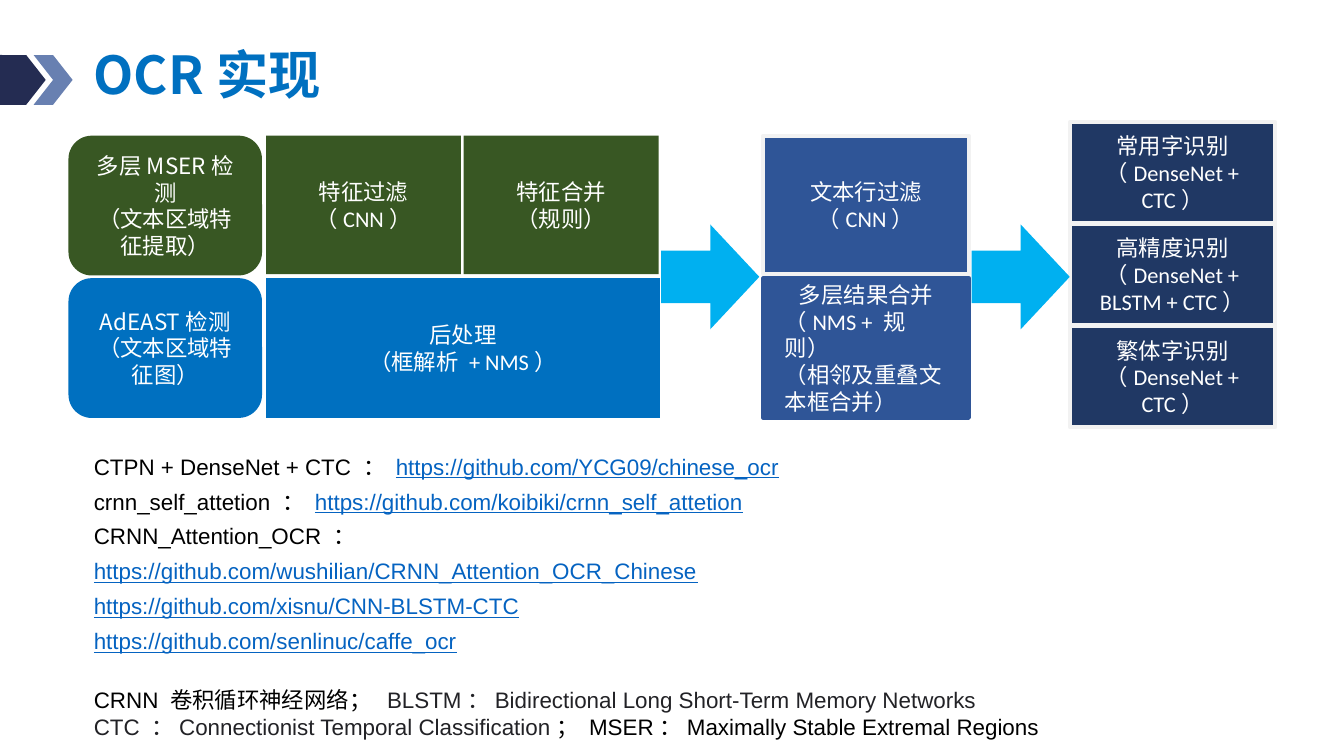
import pptx
import pptx.util
import pptx.dml.color
import pptx.enum.shapes
import pptx.enum.text
import pptx.oxml.ns
from lxml import etree

Inches = pptx.util.Inches
Pt = pptx.util.Pt
RGBColor = pptx.dml.color.RGBColor
SHAPE = pptx.enum.shapes.MSO_SHAPE
ALIGN = pptx.enum.text.PP_ALIGN
ANCHOR = pptx.enum.text.MSO_ANCHOR

NAVY = RGBColor(0x24, 0x2C, 0x52)
SLATE = RGBColor(0x68, 0x80, 0xB1)
BLUE = RGBColor(0x00, 0x70, 0xC0)
GREEN = RGBColor(0x38, 0x57, 0x23)
MID_BLUE = RGBColor(0x2F, 0x55, 0x97)
DARK_BLUE = RGBColor(0x20, 0x38, 0x64)
SKY = RGBColor(0x00, 0xB0, 0xF0)
PALE = RGBColor(0xF2, 0xF2, 0xF2)
WHITE = RGBColor(0xFF, 0xFF, 0xFF)
BLACK = RGBColor(0x00, 0x00, 0x00)
INK = RGBColor(0x22, 0x22, 0x26)
LINK = RGBColor(0x05, 0x63, 0xC1)

CJK = "Noto Sans CJK SC"
CALIBRI = "Calibri"
ARIAL = "Arial"


class SlideBuilder:
    """Holds the slide and the shared text style."""

    def __init__(self, slide, size=12, inset=0.16):
        self.slide = slide
        self.size = size
        self.inset = inset

    def run(self, paragraph, text, font, color, size=None, bold=False, underline=False):
        run = paragraph.add_run()
        run.text = text
        run.font.name = font
        run.font.size = Pt(size or self.size)
        run.font.color.rgb = color
        run.font.bold = bold
        run.font.underline = underline
        # East Asian glyphs share one typeface
        east_asian = etree.SubElement(run.font._element, pptx.oxml.ns.qn("a:ea"))
        east_asian.set("typeface", CJK)

    def shape(self, kind, left, top, width, height, fill, line=None):
        shape = self.slide.shapes.add_shape(
            kind, Inches(left), Inches(top), Inches(width), Inches(height))
        shape.shadow.inherit = False
        shape.fill.solid()
        shape.fill.fore_color.rgb = fill
        if line is None:
            shape.line.fill.background()
        else:
            shape.line.color.rgb = line
            shape.line.width = Pt(2)
        return shape

    def paragraphs(self, frame, count):
        return [frame.paragraphs[0]] + [frame.add_paragraph() for _ in range(count - 1)]

    def step(self, kind, left, top, width, height, fill, lines, line=None):
        """A process box; lines holds one list of (text, font) runs per paragraph."""
        frame = self.shape(kind, left, top, width, height, fill, line).text_frame
        frame.word_wrap = True
        frame.vertical_anchor = ANCHOR.MIDDLE
        frame.margin_left = frame.margin_right = Inches(self.inset)
        frame.margin_top = frame.margin_bottom = Inches(self.inset)
        for index, (paragraph, runs) in enumerate(zip(self.paragraphs(frame, len(lines)), lines)):
            # The heading and its one-line note are centred; longer notes go left
            centred = index == 0 or len(lines) == 2
            paragraph.alignment = ALIGN.CENTER if centred else ALIGN.LEFT
            for text, font in runs:
                self.run(paragraph, text, font, WHITE)

    def text(self, left, top, width, height, lines, spacing=1.0):
        """A text box; lines holds one list of (text, color) runs per paragraph."""
        box = self.slide.shapes.add_textbox(
            Inches(left), Inches(top), Inches(width), Inches(height))
        frame = box.text_frame
        frame.word_wrap = True
        for paragraph, runs in zip(self.paragraphs(frame, len(lines)), lines):
            paragraph.line_spacing = spacing
            for text, color in runs:
                self.run(paragraph, text, ARIAL, color, underline=color == LINK)

    def title(self, left, top, width, height, text):
        box = self.slide.shapes.add_textbox(
            Inches(left), Inches(top), Inches(width), Inches(height))
        box.text_frame.word_wrap = True
        box.text_frame.vertical_anchor = ANCHOR.MIDDLE
        paragraph = box.text_frame.paragraphs[0]
        paragraph.line_spacing = 0.9
        self.run(paragraph, text, CJK, BLUE, size=28, bold=True)


def main():
    presentation = pptx.Presentation()
    presentation.slide_width = Inches(10)
    presentation.slide_height = Inches(10 * 9 / 16)
    slide = presentation.slides.add_slide(presentation.slide_layouts[6])
    builder = SlideBuilder(slide)

    # Title with its marker
    tab = builder.shape(SHAPE.ROUNDED_RECTANGLE, -0.15, 0.41, 0.35, 0.37, NAVY)
    tab.adjustments[0] = 0.1
    for left, color in ((0.25, SLATE), (0.05, NAVY)):
        builder.shape(SHAPE.CHEVRON, left, 0.41, 0.29, 0.37, color)
    builder.title(0.6, 0.25, 8.03, 0.66, "OCR实现")

    # Detection, post-processing and filtering: two rows
    row_1, row_2 = 1.01, 2.07
    rounded, rectangle = SHAPE.ROUNDED_RECTANGLE, SHAPE.RECTANGLE
    cnn = [("（CNN）", CALIBRI)]
    steps = [
        (rectangle, 5.68, row_1, 1.53, 1.03, MID_BLUE,
         [[("文本行", CJK), ("过滤", CALIBRI)], cnn], PALE),
        (rectangle, 5.68, row_2, 1.53, 1.04, MID_BLUE,
         [[("多层结果合并", CJK)], [("（NMS + 规则）", CALIBRI)],
          [("（相邻及重叠文本框合并）", CALIBRI)]], MID_BLUE),
        (rounded, 0.51, row_1, 1.44, 1.04, GREEN,
         [[("多层MSER检测", CJK)], [("（文本区域特征提取）", CJK)]]),
        (rectangle, 1.98, row_1, 1.45, 1.03, GREEN, [[("特征过滤", CJK)], cnn]),
        (rectangle, 3.45, row_1, 1.45, 1.03, GREEN,
         [[("特征合并", CALIBRI)], [("（规则）", CALIBRI)]]),
        (rounded, 0.51, row_2, 1.44, 1.04, BLUE,
         [[("AdEAST检测", CJK)], [("（文本区域特征图）", CJK)]]),
        (rectangle, 1.98, row_2, 2.93, 1.04, BLUE,
         [[("后处理", CJK)], [("（框解析 + NMS）", CALIBRI)]]),
    ]
    for step in steps:
        builder.step(*step)

    # Recognition: three stacked boxes
    recognizers = [
        ([("常用字", CALIBRI), ("识别", CJK)], "（DenseNet + CTC）"),
        ([("高精度", CALIBRI), ("识别", CJK)], "（DenseNet + BLSTM + CTC）"),
        ([("繁体字识别", CJK)], "（DenseNet + CTC）"),
    ]
    for index, (heading, model) in enumerate(recognizers):
        builder.step(rectangle, 7.96, 0.91 + 0.76 * index, 1.53, 0.75, DARK_BLUE,
                     [heading, [(model, CALIBRI)]], PALE)

    # Arrows between stages
    for left in (4.92, 7.23):
        builder.shape(SHAPE.RIGHT_ARROW, left, 1.67, 0.73, 0.78, SKY)

    # Glossary
    builder.text(0.6, 5.06, 7.43, 0.5, [
        [("CRNN 卷积循环神经网络；  ", BLACK),
         ("BLSTM：Bidirectional Long Short-Term Memory Networks", INK)],
        [("CTC ：Connectionist Temporal Classification", INK),
         ("； MSER：Maximally Stable Extremal Regions", BLACK)],
    ])

    # Source code addresses
    site = "https://github.com/"
    sources = [
        ("CTPN + DenseNet + CTC ： ", "YCG09/chinese_ocr"),
        ("crnn_self_attetion ： ", "koibiki/crnn_self_attetion"),
        ("CRNN_Attention_OCR ： ", "wushilian/CRNN_Attention_OCR_Chinese"),
        ("", "xisnu/CNN-BLSTM-CTC"),
        ("", "senlinuc/caffe_ocr"),
    ]
    builder.text(0.6, 3.26, 6.3, 1.67, [
        ([(label, BLACK)] if label else []) + [(site + address, LINK)]
        for label, address in sources
    ], spacing=1.3)

    presentation.save("out.pptx")


if __name__ == "__main__":
    main()
